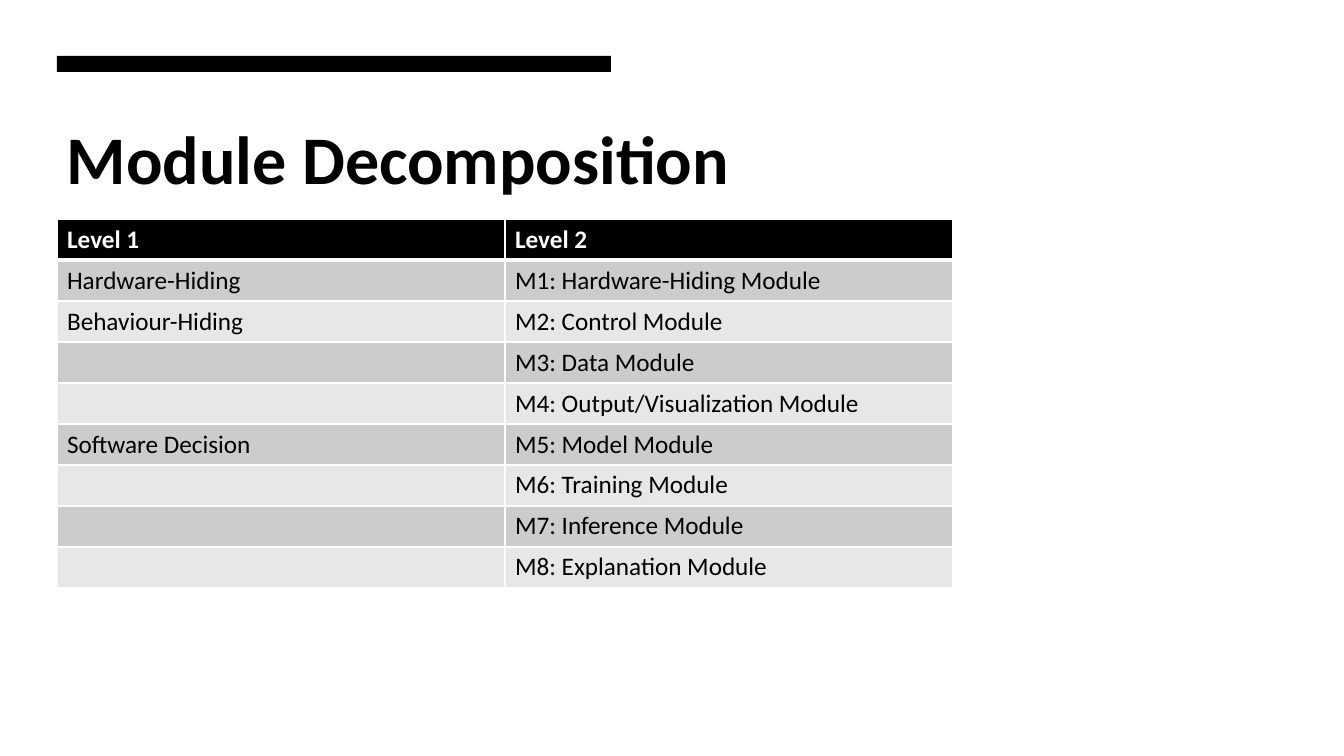
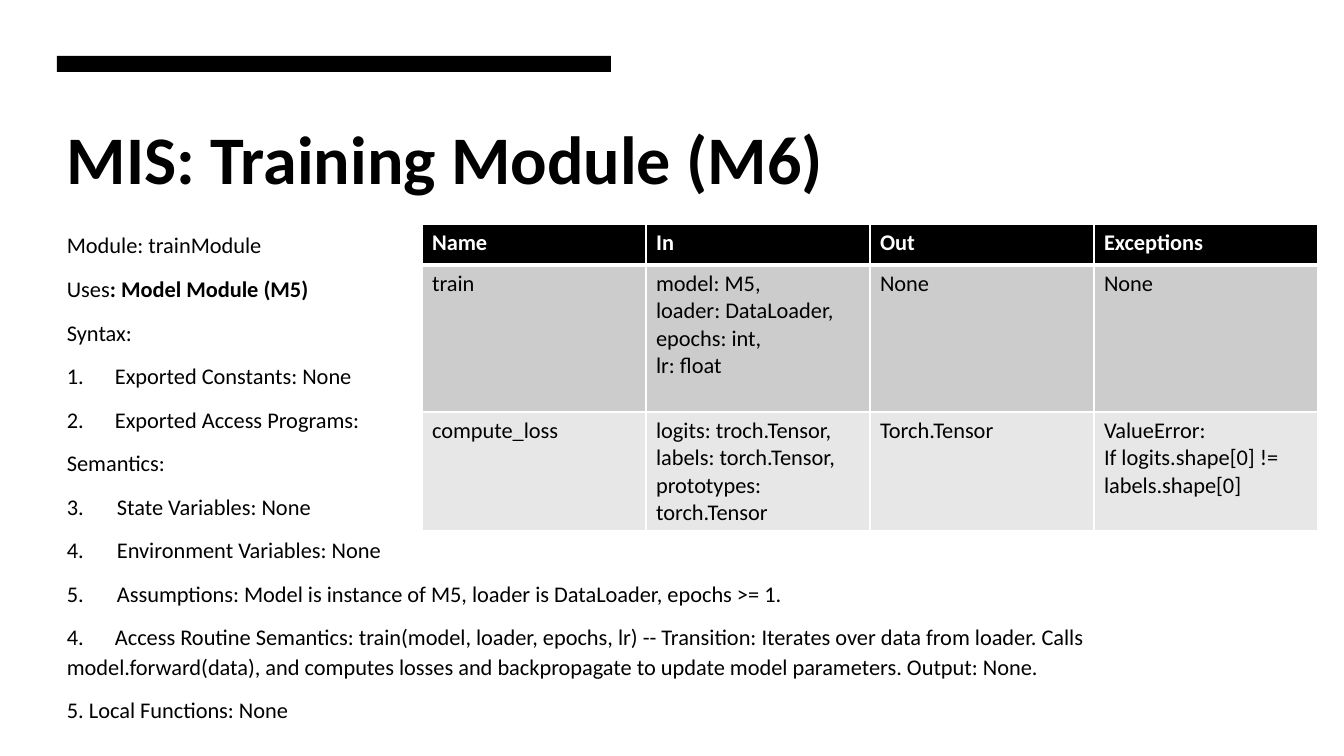
from lxml.etree import SubElement
from pptx import Presentation
from pptx.dml.color import RGBColor
from pptx.enum.shapes import MSO_SHAPE
from pptx.enum.text import MSO_ANCHOR
from pptx.oxml.ns import qn
from pptx.util import Emu, Pt

BLACK = RGBColor(0x00, 0x00, 0x00)
WHITE = RGBColor(0xFF, 0xFF, 0xFF)
BANDS = (RGBColor(0xCC, 0xCC, 0xCC), RGBColor(0xE7, 0xE7, 0xE7))
FONT = "Calibri"
LEFT = 57
TYPED_INDENT = 48
LIST_INDENT = 50


def px(length):
    return Emu(round(length * 914400 / 100.8))


class Deck:
    """Holds the shared style and the slide being filled."""

    def __init__(self):
        self.presentation = Presentation()
        self.presentation.slide_width = px(1344)
        self.presentation.slide_height = px(756)
        self.slide = None

    def add_slide(self, title, title_width):
        self.slide = self.presentation.slides.add_slide(self.presentation.slide_layouts[6])
        self.bar(LEFT, 56, 554, 16)
        frame = self.text_frame(LEFT, 109, title_width, 94)
        frame.vertical_anchor = MSO_ANCHOR.BOTTOM
        self.run(frame.paragraphs[0], title, 48.6, bold=True)

    def bar(self, x, y, width, height):
        bar = self.slide.shapes.add_shape(
            MSO_SHAPE.RECTANGLE, px(x), px(y), px(width), px(height))
        bar.shadow.inherit = False
        bar.fill.solid()
        bar.fill.fore_color.rgb = BLACK
        bar.line.fill.background()

    def text_frame(self, x, y, width, height):
        frame = self.slide.shapes.add_textbox(
            px(x), px(y), px(width), px(height)).text_frame
        frame.word_wrap = True
        return frame

    def run(self, paragraph, text, size, color=BLACK, bold=False):
        run = paragraph.add_run()
        run.text = text
        run.font.name = FONT
        run.font.size = Pt(size)
        run.font.bold = bold
        run.font.color.rgb = color

    def body(self, x, y, width, height, entries, size=16):
        """Each entry is (runs, style); runs are (text, bold) pairs."""
        frame = self.text_frame(x, y, width, height)
        for index, (runs, style) in enumerate(entries):
            paragraph = frame.add_paragraph() if index else frame.paragraphs[0]
            paragraph.line_spacing = 1.1
            paragraph.space_before = Pt(10)
            if style:
                style(paragraph)
            for text, bold in runs:
                self.run(paragraph, text, size, bold=bold)

    def table(self, x, y, column_width, row_heights, rows, size):
        """Each cell is a string with one paragraph per line."""
        columns = len(rows[0])
        table = self.slide.shapes.add_table(
            len(rows), columns, px(x), px(y),
            px(column_width * columns), px(sum(row_heights))).table
        table.horz_banding = False
        for column in table.columns:
            column.width = px(column_width)
        for index, (texts, height) in enumerate(zip(rows, row_heights)):
            table.rows[index].height = px(height)
            header = index == 0
            for column, text in enumerate(texts):
                cell = table.cell(index, column)
                self.borders(cell, top=3 if index == 1 else 1, bottom=3 if header else 1)
                cell.fill.solid()
                cell.fill.fore_color.rgb = BLACK if header else BANDS[(index - 1) % 2]
                self.cell_text(cell, text, size, header)

    def cell_text(self, cell, text, size, header):
        frame = cell.text_frame
        for index, line in enumerate(text.splitlines()):
            paragraph = frame.add_paragraph() if index else frame.paragraphs[0]
            self.run(paragraph, line, size, WHITE if header else BLACK, header)

    def borders(self, cell, top, bottom):
        properties = cell._tc.get_or_add_tcPr()
        for side, width in (("L", 1), ("R", 1), ("T", top), ("B", bottom)):
            line = SubElement(properties, qn(f"a:ln{side}"), w=str(Pt(width)))
            fill = SubElement(line, qn("a:solidFill"))
            SubElement(fill, qn("a:srgbClr"), val=str(WHITE))

    def save(self):
        self.presentation.save("out.pptx")


def numbered(indent):
    """Style for an automatically numbered item with a hanging indent."""
    def style(paragraph):
        properties = paragraph._p.get_or_add_pPr()
        properties.set("marL", str(px(indent)))
        properties.set("indent", str(-px(indent)))
        SubElement(properties, qn("a:buFont"), typeface=FONT)
        SubElement(properties, qn("a:buAutoNum"), type="arabicPeriod")
    return style


def tabbed(paragraph):
    """Style for a typed number whose wrapped lines return to the margin."""
    tabs = SubElement(paragraph._p.get_or_add_pPr(), qn("a:tabLst"))
    SubElement(tabs, qn("a:tab"), pos=str(px(TYPED_INDENT)), algn="l")


def plain(text, style=None):
    return [(text, False)], style


def module_decomposition(deck):
    deck.add_slide("Module Decomposition", 826)
    rows = [
        ("Level 1", "Level 2"),
        ("Hardware-Hiding", "M1: Hardware-Hiding Module"),
        ("Behaviour-Hiding", "M2: Control Module"),
        ("", "M3: Data Module"),
        ("", "M4: Output/Visualization Module"),
        ("Software Decision", "M5: Model Module"),
        ("", "M6: Training Module"),
        ("", "M7: Inference Module"),
        ("", "M8: Explanation Module"),
    ]
    deck.table(LEFT, 219, 448, [41] * len(rows), rows, size=18)


def training_module(deck):
    deck.add_slide("MIS: Training Module (M6)", 1183)
    syntax_item = numbered(TYPED_INDENT)
    semantics_item = numbered(LIST_INDENT)
    deck.body(LEFT, 224, 1064, 274, [
        plain("Module: trainModule"),
        ([("Uses", False), (": Model Module (M5)", True)], None),
        plain("Syntax:"),
        plain("Exported Constants: None", syntax_item),
        plain("Exported Access Programs:", syntax_item),
        plain("Semantics:"),
        plain("State Variables: None", semantics_item),
        plain("Environment Variables: None", semantics_item),
        plain("Assumptions: Model is instance of M5, loader is DataLoader, epochs >= 1.",
              semantics_item),
        plain("4.\tAccess Routine Semantics: train(model, loader, epochs, lr) -- "
              "Transition: Iterates over data from loader. Calls model.forward(data), "
              "and computes losses and backpropagate to update model parameters. "
              "Output: None.", tabbed),
        plain("5. Local Functions: None"),
    ])
    deck.table(422, 224, 224, [41, 147, 119], [
        ("Name", "In", "Out", "Exceptions"),
        ("train", "model: M5,\nloader: DataLoader, epochs: int,\nlr: float", "None", "None"),
        ("compute_loss",
         "logits: troch.Tensor, labels: torch.Tensor,\nprototypes: torch.Tensor",
         "Torch.Tensor", "ValueError:\nIf logits.shape[0] != labels.shape[0]"),
    ], size=16)


def main():
    deck = Deck()
    module_decomposition(deck)
    training_module(deck)
    deck.save()


if __name__ == "__main__":
    main()
